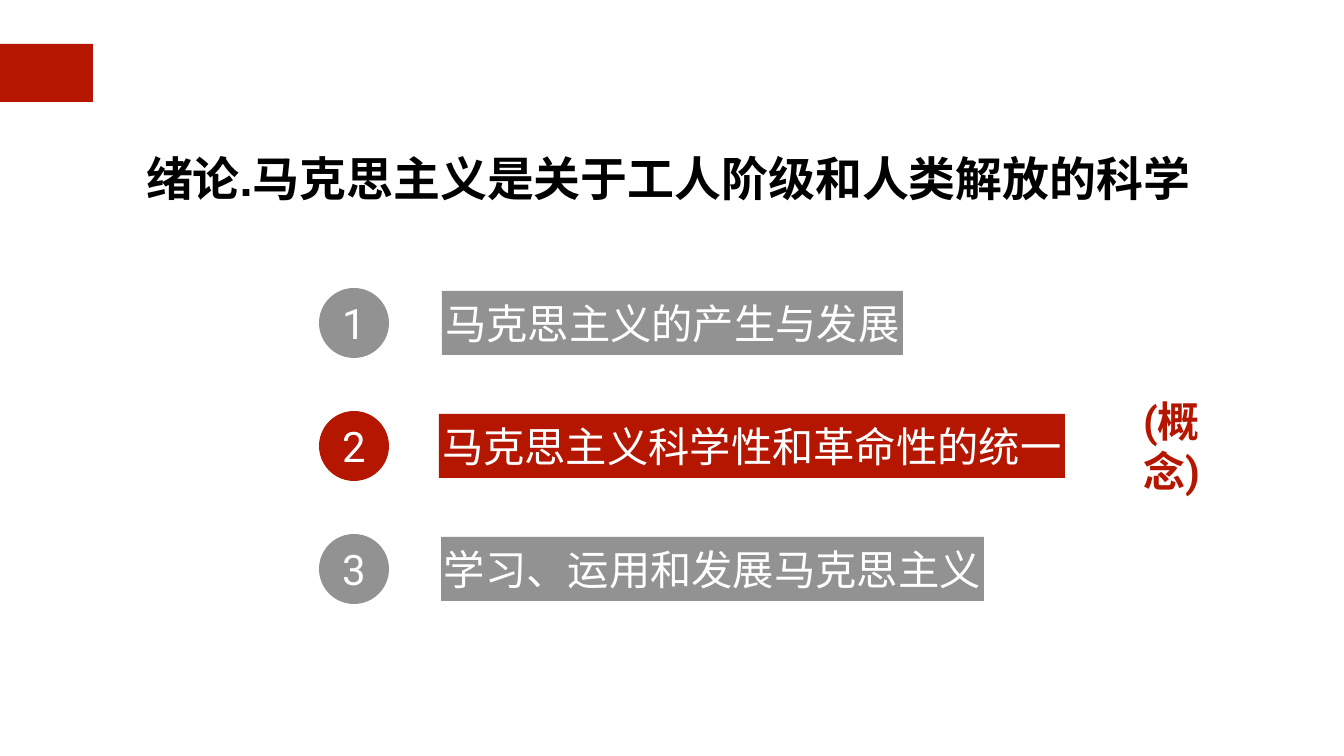
from dataclasses import dataclass

from pptx import Presentation
from pptx.dml.color import RGBColor
from pptx.enum.shapes import MSO_SHAPE as Preset
from pptx.enum.text import MSO_ANCHOR as Anchor, MSO_AUTO_SIZE as AutoSize, PP_ALIGN as Align
from pptx.shapes.autoshape import Shape
from pptx.slide import Slide
from pptx.util import Emu, Pt

EMU_PER_PX = 914400 / 50.4


def px(length: int) -> Emu:
    return Emu(round(length * EMU_PER_PX))


@dataclass(frozen=True)
class Theme:
    red: RGBColor = RGBColor(0xB5, 0x16, 0x00)
    grey: RGBColor = RGBColor(0x92, 0x92, 0x92)
    white: RGBColor = RGBColor(0xFF, 0xFF, 0xFF)
    black: RGBColor = RGBColor(0x00, 0x00, 0x00)
    title_font: str = "Arial"
    body_font: str = "Roboto"
    title_size: int = 67
    number_size: int = 60
    topic_size: int = 59


@dataclass(frozen=True)
class Box:
    left: int
    top: int
    width: int
    height: int

    def emu(self) -> tuple[Emu, Emu, Emu, Emu]:
        return px(self.left), px(self.top), px(self.width), px(self.height)


@dataclass(frozen=True)
class TextStyle:
    font: str
    size: int
    color: RGBColor
    bold: bool = False
    align: Align = Align.CENTER
    line_spacing: float = 1.0
    inset: int = 3
    wrap: bool = False


@dataclass(frozen=True)
class Topic:
    text: str
    left: int
    width: int
    current: bool = False


THEME = Theme()
TITLE = TextStyle(THEME.title_font, THEME.title_size, THEME.black, bold=True,
                  align=Align.LEFT, line_spacing=1.5, wrap=True)
NUMBER = TextStyle(THEME.body_font, THEME.number_size, THEME.white, inset=0)
TOPIC = TextStyle(THEME.body_font, THEME.topic_size, THEME.white)
REMARK = TextStyle(THEME.body_font, THEME.number_size, THEME.red, bold=True, wrap=True)

TOPICS = [
    Topic("马克思主义的产生与发展", 442, 461),
    Topic("马克思主义科学性和革命性的统一", 439, 626, current=True),
    Topic("学习、运用和发展马克思主义", 441, 543),
]
FIRST_ROW, ROW_PITCH = 288, 123
BADGE_LEFT, BADGE_SIZE = 319, 70
BAR_HEIGHT = 64


def write(shape: Shape, text: str, style: TextStyle) -> None:
    frame = shape.text_frame
    frame.auto_size = AutoSize.NONE
    frame.word_wrap = style.wrap
    frame.vertical_anchor = Anchor.MIDDLE
    frame.margin_left = frame.margin_right = px(style.inset)
    frame.margin_top = frame.margin_bottom = px(style.inset)
    paragraph = frame.paragraphs[0]
    paragraph.alignment = style.align
    paragraph.line_spacing = style.line_spacing
    run = paragraph.add_run()
    run.text = text
    run.font.name = style.font
    run.font.size = Pt(style.size)
    run.font.bold = style.bold
    run.font.color.rgb = style.color


def add_filled(slide: Slide, preset: Preset, box: Box, color: RGBColor) -> Shape:
    shape = slide.shapes.add_shape(preset, *box.emu())
    shape.shadow.inherit = False
    shape.fill.solid()
    shape.fill.fore_color.rgb = color
    shape.line.fill.background()
    return shape


def add_topic(slide: Slide, index: int, topic: Topic) -> None:
    """Draw one numbered badge with its topic bar centred beside it."""
    top = FIRST_ROW + index * ROW_PITCH
    color = THEME.red if topic.current else THEME.grey
    badge_box = Box(BADGE_LEFT, top, BADGE_SIZE, BADGE_SIZE)
    bar_box = Box(topic.left, top + (BADGE_SIZE - BAR_HEIGHT) // 2, topic.width, BAR_HEIGHT)
    write(add_filled(slide, Preset.OVAL, badge_box, color), str(index + 1), NUMBER)
    write(add_filled(slide, Preset.RECTANGLE, bar_box, color), topic.text, TOPIC)


def main() -> None:
    deck = Presentation()
    deck.slide_width, deck.slide_height = px(1344), px(756)
    slide = deck.slides.add_slide(deck.slide_layouts.get_by_name("Title Only"))

    add_filled(slide, Preset.RECTANGLE, Box(0, 44, 93, 58), THEME.red)

    title = slide.shapes.title
    title.left, title.top, title.width, title.height = Box(143, 124, 1061, 80).emu()
    write(title, "绪论.马克思主义是关于工人阶级和人类解放的科学", TITLE)

    for index, topic in enumerate(TOPICS):
        add_topic(slide, index, topic)

    remark = slide.shapes.add_textbox(*Box(1114, 413, 115, 65).emu())
    write(remark, "(概念)", REMARK)

    deck.save("out.pptx")


if __name__ == "__main__":
    main()
